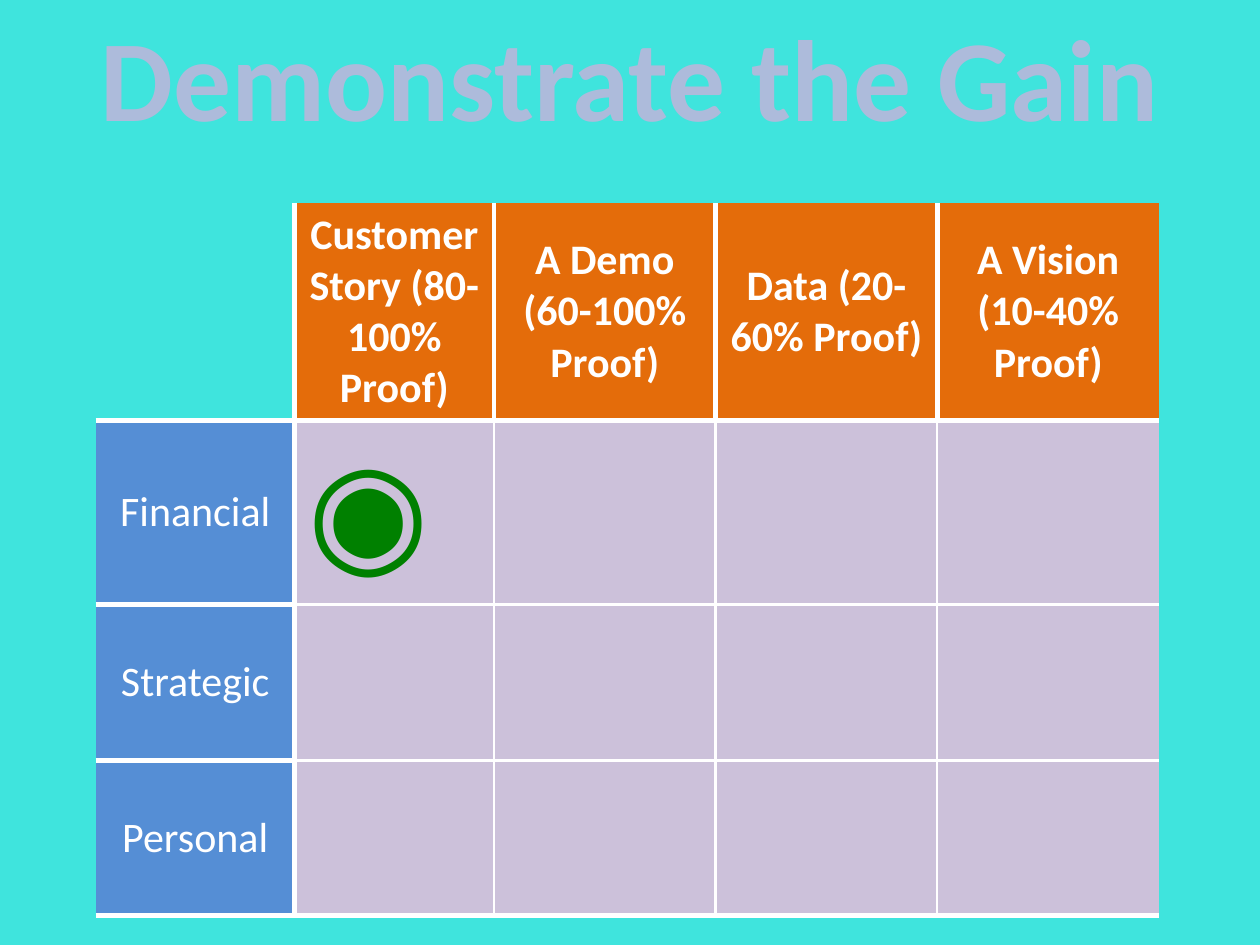
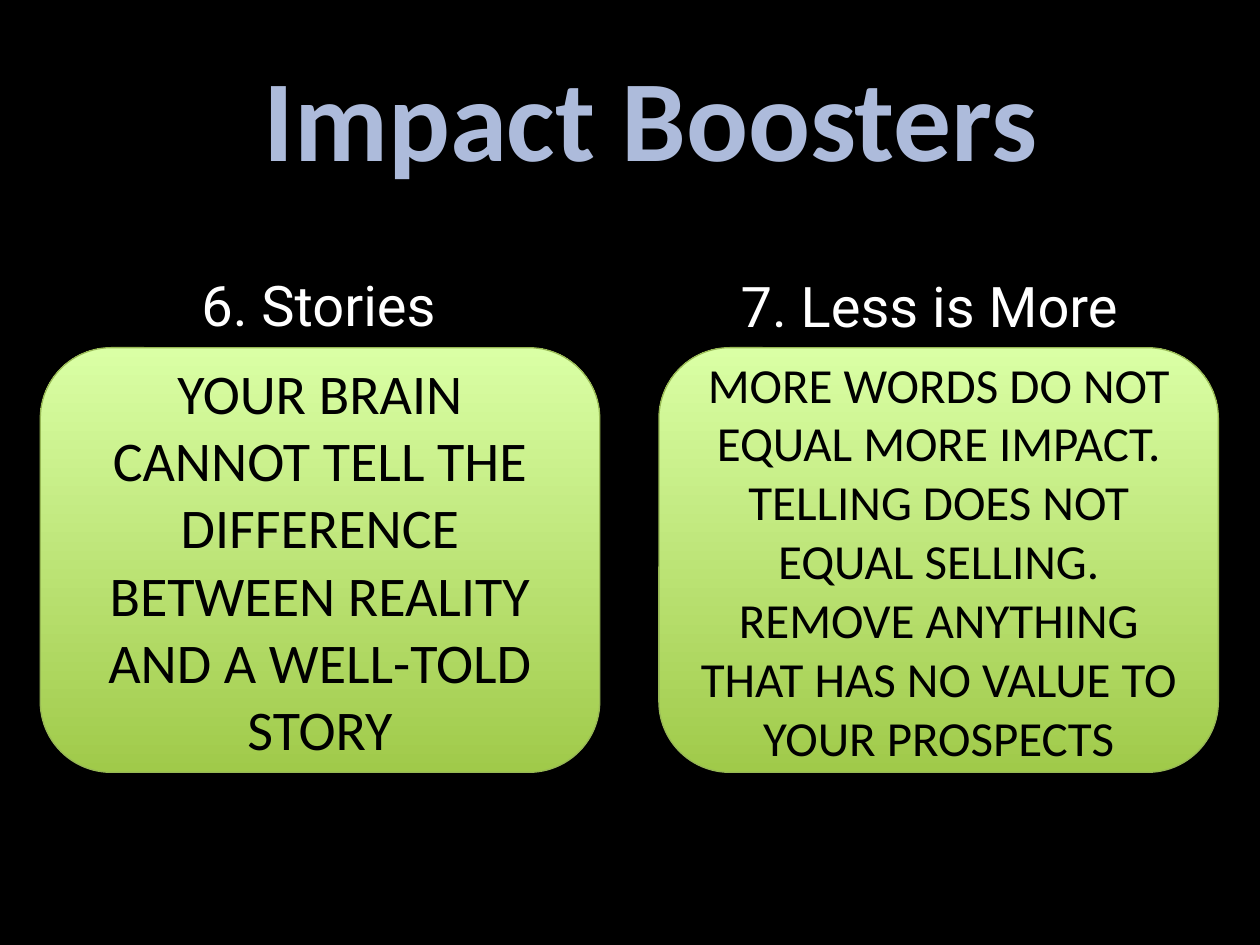
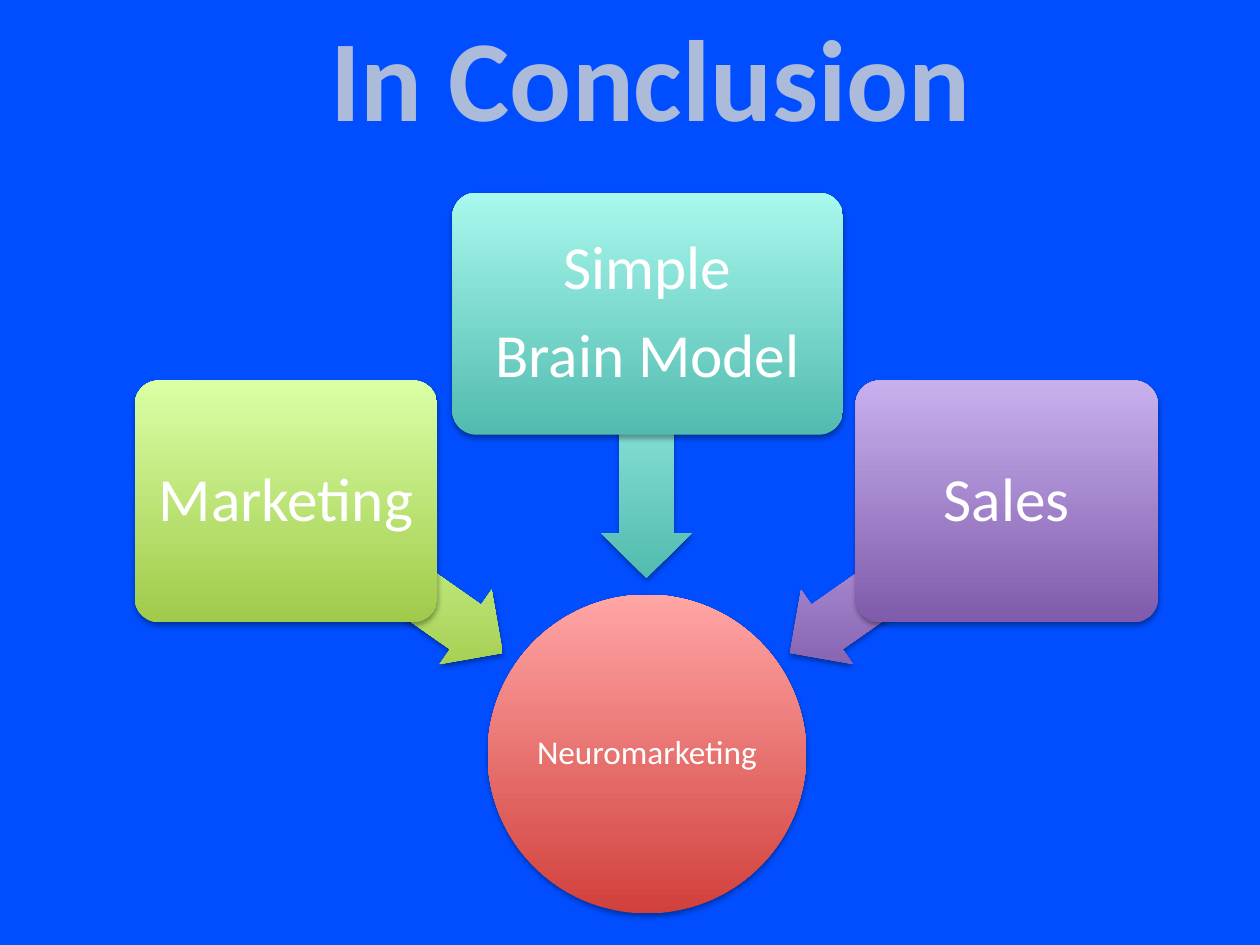
"""Build three slides on showing gain, boosting impact and concluding."""
from lxml import etree
from pptx import Presentation
from pptx.dml.color import RGBColor
from pptx.enum import shapes, text
from pptx.oxml import ns
from pptx.util import Inches, Pt

WHITE, BLACK = "FFFFFF", "000000"
TITLE_COLOUR, ORANGE, BLUE, LILAC, TARGET_GREEN = "ADBBDB", "E46C0A", "558ED5", "CCC1DA", "008000"
GREEN = ("A0CA4A", "DAFFA5")
TEAL = ("52BBAF", "A8F8ED")
PURPLE = ("7F5BAB", "C8B0ED")
RED = ("D1403C", "FFA6A5")

TITLE_ONLY_LAYOUT = 5
PROOFS = ["Customer Story (80-100% Proof)", "A Demo (60-100% Proof)",
          "Data (20-60% Proof)", "A Vision (10-40% Proof)"]
GAINS = ["Financial", "Strategic", "Personal"]
COLUMN_WIDTHS = (1.58, 1.58, 1.76, 1.76, 1.76)
ROW_HEIGHTS = (1.72, 1.46, 1.24, 1.23)


def colour(hex_string):
    """Turn a hex string into a colour."""
    return RGBColor.from_string(hex_string)


def inches(box):
    """Turn a box of numbers into lengths."""
    return [Inches(length) for length in box]


def add_xml(parent, tag, **attributes):
    """Append a drawing element to a parent."""
    values = {name: str(value) for name, value in attributes.items()}
    return etree.SubElement(parent, ns.qn(tag), values)


def write(frame, lines, size, hex_string, font="Calibri", bold=False,
          align=text.PP_ALIGN.CENTER, spacing=None, gap=None):
    """Write one paragraph per line in a common style."""
    frame.word_wrap = True
    for index, line in enumerate(lines):
        paragraph = frame.add_paragraph() if index else frame.paragraphs[0]
        paragraph.text = line
        paragraph.alignment = align
        if spacing:
            paragraph.line_spacing = spacing
        if gap and index:
            paragraph.space_before = Pt(gap)
        paragraph.font.name = font
        paragraph.font.size = Pt(size)
        paragraph.font.bold = bold
        paragraph.font.color.rgb = colour(hex_string)


def add_slide(presentation, background, title, title_box):
    """Add a slide with a background colour and the shared title style."""
    slide = presentation.slides.add_slide(presentation.slide_layouts[TITLE_ONLY_LAYOUT])
    slide.background.fill.solid()
    slide.background.fill.fore_color.rgb = colour(background)
    heading = slide.shapes.title
    heading.left, heading.top, heading.width, heading.height = inches(title_box)
    heading.text_frame.auto_size = text.MSO_AUTO_SIZE.NONE
    heading.text_frame.vertical_anchor = text.MSO_ANCHOR.MIDDLE
    write(heading.text_frame, [title], 66, TITLE_COLOUR, bold=True)
    return slide


def add_glossy_shape(slide, kind, box, gradient, adjustments=(), outline=None, rotation=0):
    """Add a shape with an upward gradient and a soft shadow."""
    shape = slide.shapes.add_shape(kind, *inches(box))
    for index, value in enumerate(adjustments):
        shape.adjustments[index] = value
    shape.rotation = rotation
    shape.fill.gradient()
    shape.fill.gradient_angle = 90
    for stop, hex_string in zip(shape.fill.gradient_stops, gradient):
        stop.color.rgb = colour(hex_string)
    properties = shape._element.spPr
    properties.find(ns.qn("a:gradFill")).set("rotWithShape", "0")
    if outline:
        shape.line.color.rgb = colour(outline)
        shape.line.width = Pt(0.75)
    else:
        shape.line.fill.background()
    shape.shadow.inherit = False
    shadow = add_xml(properties.find(ns.qn("a:effectLst")), "a:outerShdw", blurRad=Pt(3.1),
                     dist=Pt(1.8), dir=5400000, rotWithShape=0)
    add_xml(add_xml(shadow, "a:srgbClr", val=BLACK), "a:alpha", val=35000)
    return shape


def set_borders(cell, widths):
    """Draw white cell borders, leaving out sides of zero width."""
    properties = cell._tc.get_or_add_tcPr()
    for index, (side, width) in enumerate(widths.items()):
        line = add_xml(properties, f"a:ln{side}", w=Pt(width))
        if width:
            add_xml(add_xml(line, "a:solidFill"), "a:srgbClr", val=WHITE)
        else:
            add_xml(line, "a:noFill")
        properties.insert(index, line)


def fill_cell(cell, row, column):
    """Fill, label and border a cell according to its place."""
    if row == column == 0:
        cell.fill.background()
    else:
        cell.fill.solid()
        cell.fill.fore_color.rgb = colour(ORANGE if row == 0 else BLUE if column == 0 else LILAC)
    label = PROOFS[column - 1] if row == 0 < column else GAINS[row - 1] if column == 0 < row else ""
    if label:
        cell.vertical_anchor = text.MSO_ANCHOR.MIDDLE
        write(cell.text_frame, [label], 24, WHITE, bold=row == 0)
    last_row, last_column = len(ROW_HEIGHTS) - 1, len(COLUMN_WIDTHS) - 1
    set_borders(cell, {
        "L": 0 if column == 0 else 3 if column == 1 or row == 0 else 1.5,
        "R": 0 if column == last_column else 3 if column == 0 or row == 0 else 1.5,
        "T": 0 if row == 0 else 3 if row == 1 or column == 0 else 1.5,
        "B": 3 if row in (0, last_row) or column == 0 else 1.5,
    })


def add_gain_table(slide, left, top):
    """Add the table of gains against kinds of proof, with one target marked."""
    box = (left, top, sum(COLUMN_WIDTHS), sum(ROW_HEIGHTS))
    table = slide.shapes.add_table(len(ROW_HEIGHTS), len(COLUMN_WIDTHS), *inches(box)).table
    table.first_row = table.horz_banding = False
    for column, width in enumerate(COLUMN_WIDTHS):
        table.columns[column].width = Inches(width)
    for row, height in enumerate(ROW_HEIGHTS):
        table.rows[row].height = Inches(height)
        for column in range(len(COLUMN_WIDTHS)):
            fill_cell(table.cell(row, column), row, column)
    write(table.cell(1, 1).text_frame, ["◉"], 80, TARGET_GREEN, align=text.PP_ALIGN.LEFT)


def add_booster(slide, heading, heading_box, message, size, left):
    """Add a numbered heading above a rounded message card."""
    heading_shape = slide.shapes.add_textbox(*inches(heading_box))
    write(heading_shape.text_frame, [heading], 32, WHITE, font="Roboto", align=text.PP_ALIGN.LEFT)
    card = add_glossy_shape(slide, shapes.MSO_SHAPE.ROUNDED_RECTANGLE, (left, 2.76, 4.44, 3.37),
                            GREEN, outline="98B955")
    card.text_frame.vertical_anchor = text.MSO_ANCHOR.MIDDLE
    write(card.text_frame, [message], size, BLACK)


def write_label(shape, lines, size, margin):
    """Write a white label in the middle of a diagram shape."""
    frame = shape.text_frame
    frame.margin_left = frame.margin_right = Inches(margin)
    frame.margin_top = frame.margin_bottom = Inches(margin)
    frame.vertical_anchor = text.MSO_ANCHOR.MIDDLE
    write(frame, lines, size, WHITE, spacing=0.9, gap=12)


def add_source(slide, lines, box, gradient, arrow_centre, rotation):
    """Add a source box over an arrow that points to the result."""
    width, height = 2.1, 0.72
    centre_x, centre_y = arrow_centre
    arrow_box = (centre_x - width / 2, centre_y - height / 2, width, height)
    add_glossy_shape(slide, shapes.MSO_SHAPE.LEFT_ARROW, arrow_box, gradient, (0.6, 0.5),
                     rotation=rotation)
    source = add_glossy_shape(slide, shapes.MSO_SHAPE.ROUNDED_RECTANGLE, box, gradient, (0.1,))
    write_label(source, lines, 35, 0.07)


def build_gain_slide(presentation):
    """Build the slide with the table of gains."""
    slide = add_slide(presentation, "3FE4DD", "Demonstrate the Gain", (0, -0.01, 10, 1.21))
    add_gain_table(slide, 0.76, 1.61)


def build_boosters_slide(presentation):
    """Build the slide with two impact boosters."""
    slide = add_slide(presentation, BLACK, "Impact Boosters", (1.24, 0.31, 7.85, 1.21))
    add_booster(slide, "6. Stories", (1.5, 2.1, 3.06, 0.64),
                "YOUR BRAIN CANNOT TELL THE DIFFERENCE BETWEEN REALITY AND A WELL-TOLD STORY",
                32, 0.32)
    add_booster(slide, "7. Less is More", (5.78, 2.11, 3.6, 0.64),
                "MORE WORDS DO NOT EQUAL MORE IMPACT. TELLING DOES NOT EQUAL SELLING. "
                "REMOVE ANYTHING THAT HAS NO VALUE TO YOUR PROSPECTS", 28, 5.23)


def build_conclusion_slide(presentation):
    """Build the slide where three sources lead to one result."""
    slide = add_slide(presentation, "004EFF", "In Conclusion", (1.24, -0.01, 7.85, 1.21))
    result = add_glossy_shape(slide, shapes.MSO_SHAPE.OVAL, (3.87, 4.72, 2.53, 2.53), RED)
    write_label(result, ["Neuromarketing"], 19, 0.01)
    add_source(slide, ["Marketing"], (1.07, 3.02, 2.4, 1.92), GREEN, (3.13, 4.58), 215)
    add_source(slide, ["Simple", "Brain Model"], (3.59, 1.53, 3.1, 1.92), TEAL, (5.13, 3.54), 270)
    add_source(slide, ["Sales"], (6.79, 3.02, 2.4, 1.92), PURPLE, (7.13, 4.58), 325)


def main():
    """Build and save the presentation."""
    presentation = Presentation()
    presentation.slide_width, presentation.slide_height = Inches(10), Inches(7.5)
    build_gain_slide(presentation)
    build_boosters_slide(presentation)
    build_conclusion_slide(presentation)
    presentation.save("out.pptx")


if __name__ == "__main__":
    main()
